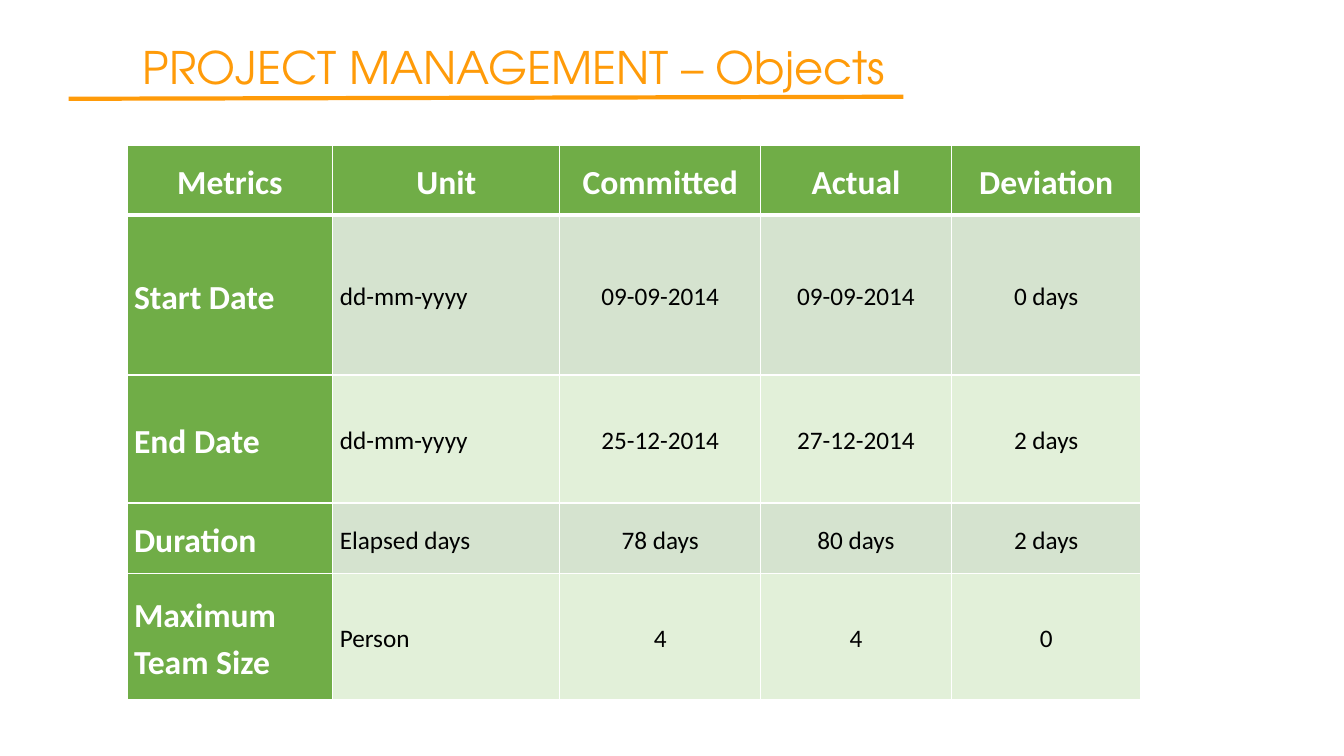
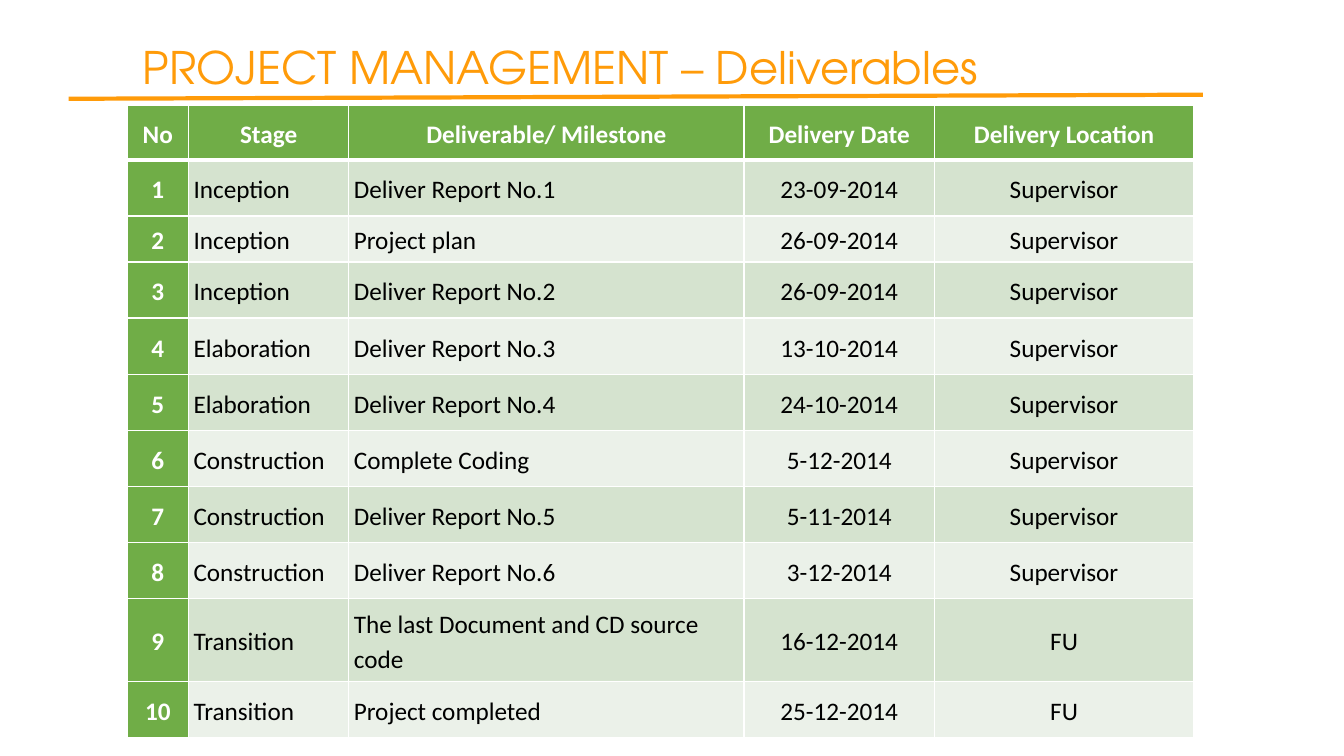
from dataclasses import dataclass

from lxml.etree import SubElement
from pptx import Presentation
from pptx.dml.color import RGBColor
from pptx.enum.shapes import MSO_CONNECTOR
from pptx.enum.text import MSO_ANCHOR, MSO_AUTO_SIZE, PP_ALIGN
from pptx.oxml.ns import qn
from pptx.util import Inches, Pt

SLIDE_WIDTH = Inches(13.33)
SLIDE_HEIGHT = Inches(7.5)
BLANK_LAYOUT = 6
ALIGNMENTS = {"l": PP_ALIGN.LEFT, "c": PP_ALIGN.CENTER}


@dataclass(frozen=True)
class Theme:
    accent: str = "FF9B09"
    header: str = "70AD47"
    band: str = "D5E3CF"
    pale_green: str = "E2F0D9"
    pale_grey: str = "EBF1E9"
    light: str = "FFFFFF"
    dark: str = "000000"
    title_font: str = "TeX Gyre Adventor"
    table_font: str = "Calibri"
    title_size: int = 32
    large_size: int = 24
    body_size: int = 18
    line_spacing: float = 1.15
    thin: int = 1
    thick: int = 3


THEME = Theme()


@dataclass(frozen=True)
class TableLayout:
    top: float
    width: float
    height: float
    columns: tuple
    rows: tuple
    alignments: str
    heading_size: int
    cell_margin: float
    alternate_fill: str
    left: float = 9.45


def across(percent):
    return round(SLIDE_WIDTH * percent / 100)


def down(percent):
    return round(SLIDE_HEIGHT * percent / 100)


def add_run(paragraph, text, font_name, size, color, bold=False):
    run = paragraph.add_run()
    run.text = text
    run.font.name = font_name
    run.font.size = Pt(size)
    run.font.bold = bold
    run.font.color.rgb = RGBColor.from_string(color)


def add_title(slide, text, width):
    box = slide.shapes.add_textbox(across(9.9), down(4.53), across(width), down(8.53))
    frame = box.text_frame
    frame.word_wrap = False
    frame.auto_size = MSO_AUTO_SIZE.SHAPE_TO_FIT_TEXT
    add_run(frame.paragraphs[0], text, THEME.title_font, THEME.title_size, THEME.accent)


def add_title_rule(slide, end_x, end_y):
    rule = slide.shapes.add_connector(
        MSO_CONNECTOR.STRAIGHT, across(5.1), down(13.07), across(end_x), down(end_y)
    )
    rule.line.color.rgb = RGBColor.from_string(THEME.accent)
    rule.line.width = Pt(THEME.thick)
    SubElement(rule._element.spPr, qn("a:effectLst"))


def set_borders(cell, row_index):
    top = THEME.thick if row_index == 1 else THEME.thin
    bottom = THEME.thick if row_index == 0 else THEME.thin
    sides = {"lnL": THEME.thin, "lnR": THEME.thin, "lnT": top, "lnB": bottom}
    properties = cell._tc.get_or_add_tcPr()
    for side, width in sides.items():
        line = SubElement(properties, qn(f"a:{side}"), w=str(Pt(width)))
        fill = SubElement(line, qn("a:solidFill"))
        SubElement(fill, qn("a:srgbClr"), val=THEME.light)


def fill_cell(cell, text, row_index, column_index, layout):
    is_heading = row_index == 0 or column_index == 0
    set_borders(cell, row_index)
    band = THEME.band if row_index % 2 else layout.alternate_fill
    cell.fill.solid()
    cell.fill.fore_color.rgb = RGBColor.from_string(THEME.header if is_heading else band)
    cell.vertical_anchor = MSO_ANCHOR.MIDDLE
    cell.margin_left = cell.margin_right = Inches(layout.cell_margin)
    cell.margin_top = cell.margin_bottom = 0
    paragraph = cell.text_frame.paragraphs[0]
    paragraph.alignment = ALIGNMENTS["c" if row_index == 0 else layout.alignments[column_index]]
    paragraph.line_spacing = THEME.line_spacing
    add_run(
        paragraph,
        text,
        THEME.table_font,
        layout.heading_size if is_heading else THEME.body_size,
        THEME.light if is_heading else THEME.dark,
        is_heading,
    )


def add_data_table(slide, records, layout):
    width, height = across(layout.width), down(layout.height)
    table = slide.shapes.add_table(
        len(records), len(layout.columns), across(layout.left), down(layout.top), width, height
    ).table
    table.first_row = table.horz_banding = False
    for column, weight in zip(table.columns, layout.columns):
        column.width = round(width * weight / sum(layout.columns))
    for row, weight in zip(table.rows, layout.rows):
        row.height = round(height * weight / sum(layout.rows))
    for row_index, record in enumerate(records):
        for column_index, text in enumerate(record):
            fill_cell(table.cell(row_index, column_index), text, row_index, column_index, layout)


def add_table_slide(presentation, topic, title_width, rule_end, records, layout):
    slide = presentation.slides.add_slide(presentation.slide_layouts[BLANK_LAYOUT])
    add_data_table(slide, records, layout)
    add_title(slide, f"PROJECT MANAGEMENT – {topic}", title_width)
    add_title_rule(slide, *rule_end)


OBJECTIVES = [
    ("Metrics", "Unit", "Committed", "Actual", "Deviation"),
    ("Start Date", "dd-mm-yyyy", "09-09-2014", "09-09-2014", "0 days"),
    ("End Date", "dd-mm-yyyy", "25-12-2014", "27-12-2014", "2 days"),
    ("Duration", "Elapsed days", "78 days", "80 days", "2 days"),
    ("Maximum Team Size", "Person", "4", "4", "0"),
]

OBJECTIVES_LAYOUT = TableLayout(
    top=19.2,
    width=75.45,
    height=73.33,
    columns=(2.04, 2.25, 1.99, 1.89, 1.88),
    rows=(0.69, 1.59, 1.27, 0.7, 1.25),
    alignments="llccc",
    heading_size=THEME.large_size,
    cell_margin=0.07,
    alternate_fill=THEME.pale_green,
)

DELIVERABLES = [
    ("No", "Stage", "Deliverable/ Milestone", "Delivery Date", "Delivery Location"),
    ("1", "Inception", "Deliver Report No.1", "23-09-2014", "Supervisor"),
    ("2", "Inception", "Project plan", "26-09-2014", "Supervisor"),
    ("3", "Inception", "Deliver Report No.2", "26-09-2014", "Supervisor"),
    ("4", "Elaboration", "Deliver Report No.3", "13-10-2014", "Supervisor"),
    ("5", "Elaboration", "Deliver Report No.4", "24-10-2014", "Supervisor"),
    ("6", "Construction", "Complete Coding", "5-12-2014", "Supervisor"),
    ("7", "Construction", "Deliver Report No.5", "5-11-2014", "Supervisor"),
    ("8", "Construction", "Deliver Report No.6", "3-12-2014", "Supervisor"),
    ("9", "Transition", "The last Document and CD source code", "16-12-2014", "FU"),
    ("10", "Transition", "Project completed", "25-12-2014", "FU"),
]

DELIVERABLES_LAYOUT = TableLayout(
    top=14,
    width=79.37,
    height=83.6,
    columns=(0.61, 1.59, 3.92, 1.89, 2.57),
    rows=(0.54, 0.56, 0.46, *[0.56] * 6, 0.83, 0.56),
    alignments="cllcc",
    heading_size=THEME.body_size,
    cell_margin=0.05,
    alternate_fill=THEME.pale_grey,
)


def main():
    presentation = Presentation()
    presentation.slide_width = SLIDE_WIDTH
    presentation.slide_height = SLIDE_HEIGHT
    add_table_slide(
        presentation, "Objects", 57.31, (67.22, 12.8), OBJECTIVES, OBJECTIVES_LAYOUT
    )
    add_table_slide(
        presentation, "Deliverables", 65.72, (89.5, 12.53), DELIVERABLES, DELIVERABLES_LAYOUT
    )
    presentation.save("out.pptx")


if __name__ == "__main__":
    main()
